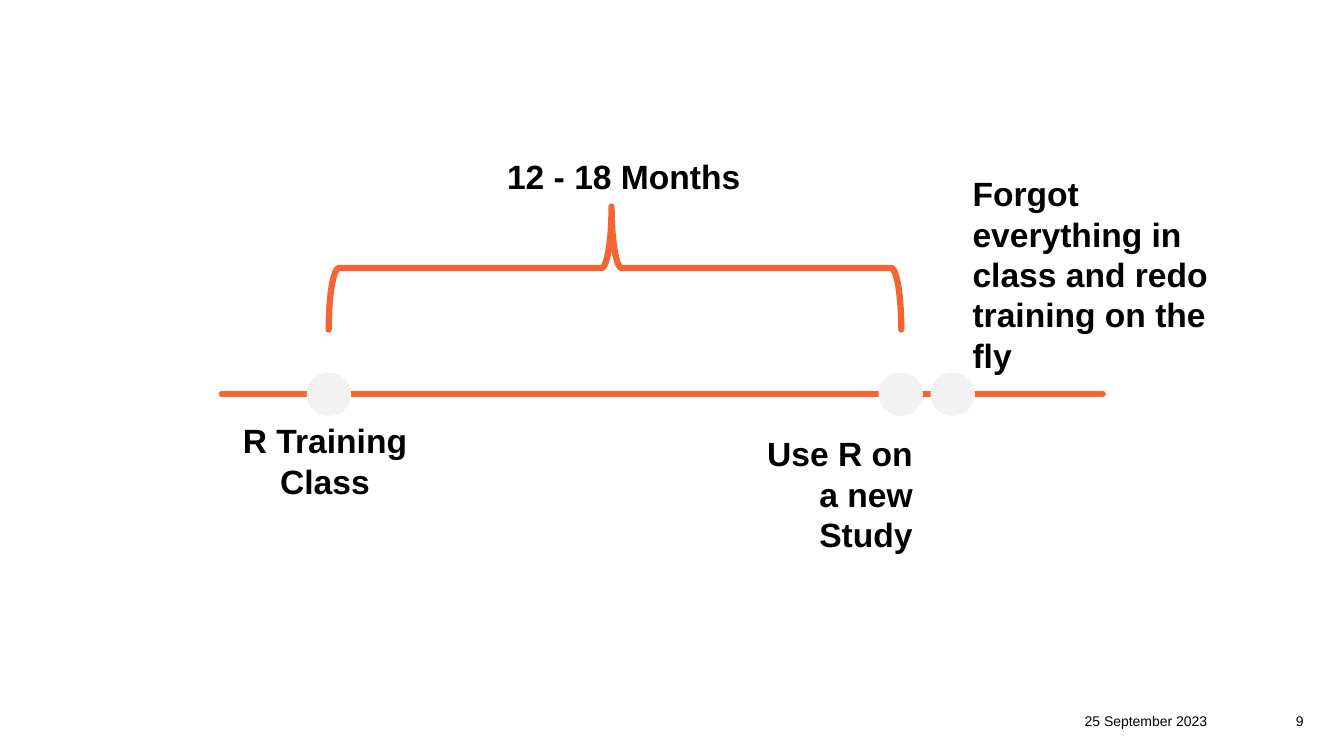
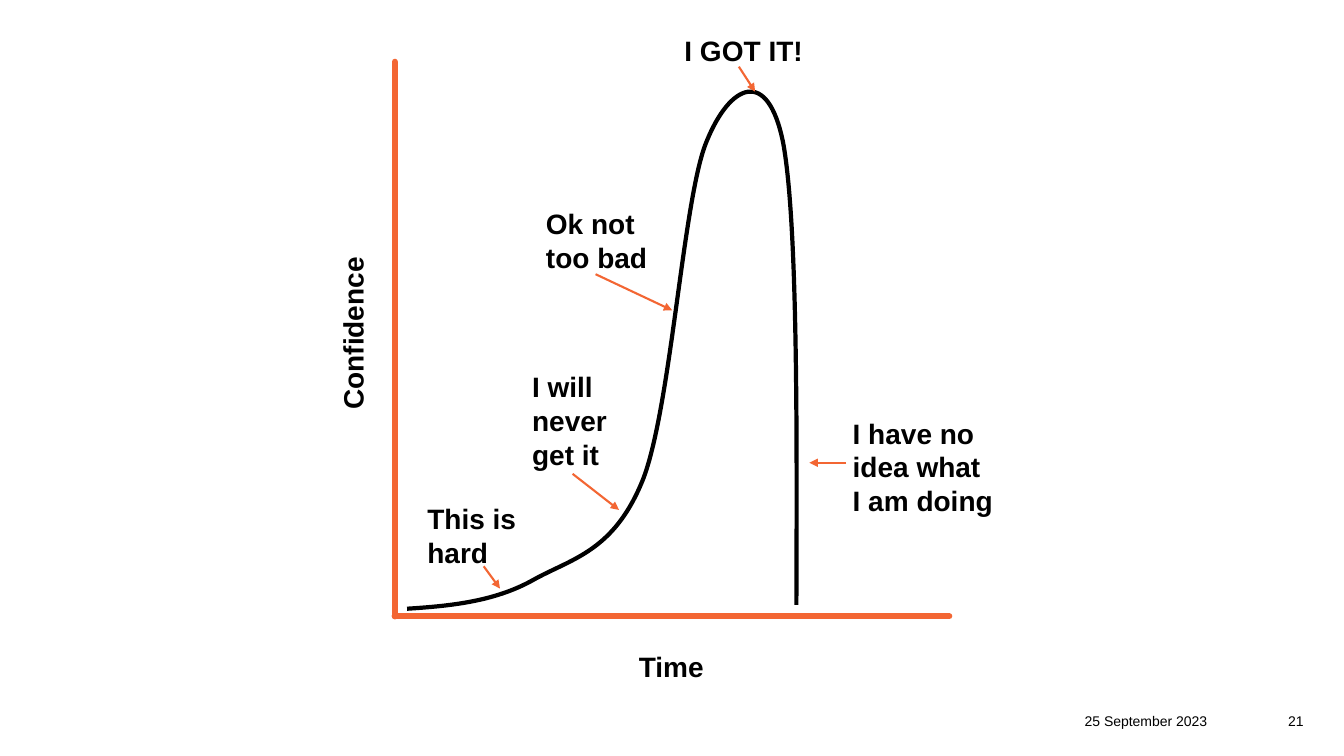
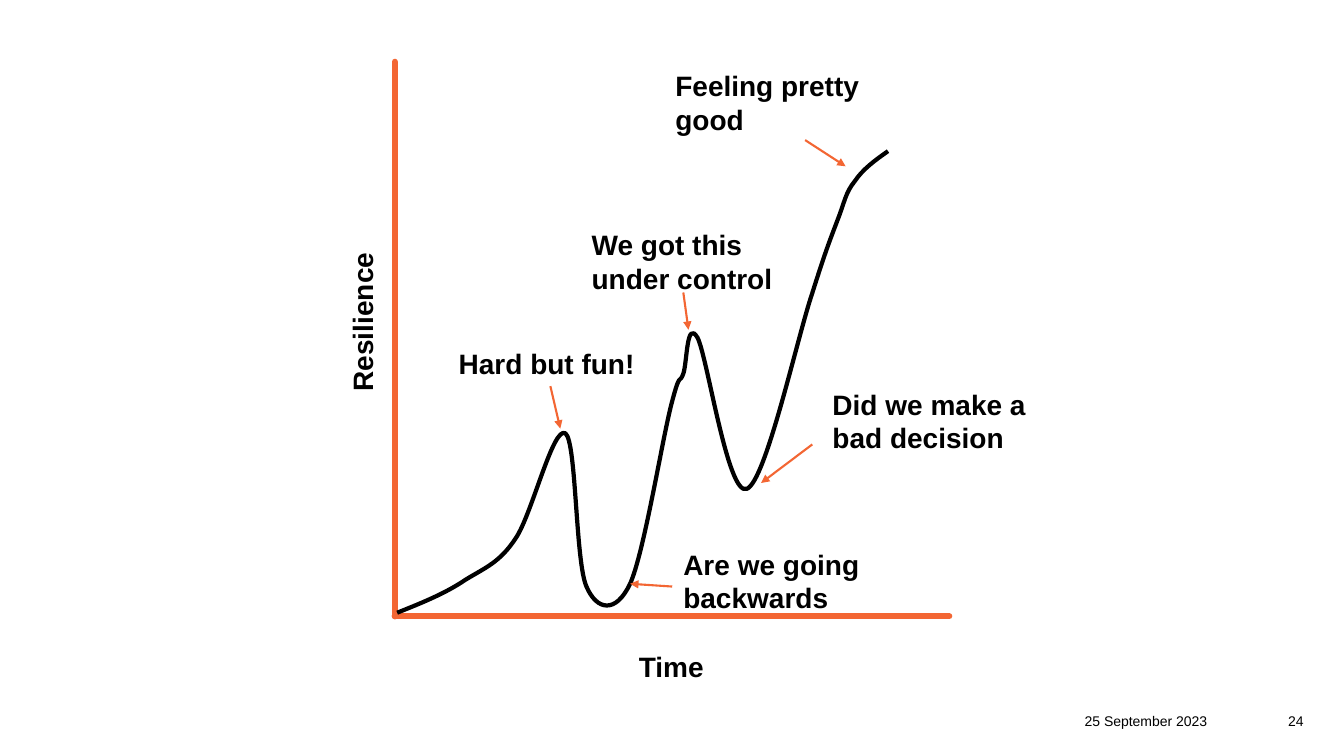
from lxml.etree import SubElement
from pptx import Presentation
from pptx.dml.color import RGBColor
from pptx.enum.shapes import MSO_CONNECTOR, MSO_SHAPE as SHAPE
from pptx.enum.text import MSO_ANCHOR as ANCHOR, PP_ALIGN as ALIGN
from pptx.oxml.ns import qn
from pptx.util import Cm, Pt

COLORS = {"accent": "F36633", "text": "000000", "dot": "F2F2F2"}
FONT = "Arial"
DATE = "25 September 2023"
THICK, THIN, CURVE = 4.5, 1.5, 3
LABEL_INSET = 0.51

# Timeline slide, lengths in cm
TIMELINE = {"x1": 5.59, "x2": 27.79, "y": 9.93}
DOT_LEFTS = (7.73, 22.14, 23.45)
DOT_TOP, DOT_W, DOT_H = 9.39, 1.12, 1.09
BRACE = (13.95, -0.46, 3.1, 14.43)
BRACE_CURL, BRACE_TIP = 8.3, 49.4  # percent
TIMELINE_LABELS = [
    ("R Training Class", (5.59, 10.08, 5.2, 3.71), ALIGN.CENTER),
    ("Use R on a new Study", (18.31, 10.41, 5.2, 3.71), ALIGN.RIGHT),
    ("12 - 18 Months", (12.27, 3.43, 7.42, 1.52), ALIGN.LEFT),
    ("Forgot everything in class and redo training on the fly",
     (24, 3.86, 7.9, 3.71), ALIGN.LEFT),
]

# Graph slides, lengths in cm
ORIGIN = (9.95, 15.53)
AXIS_LENGTH = 13.97
LABEL_H = 1.68
TIME_LABEL = ("Time", (15.59, 15.95, 3.84, LABEL_H))

# A curve is its start, then two control points and an end for each segment.
# A note is its text, left, top and width, then the start and end of its arrow.
GRAPHS = [
    {
        "number": 21,
        "y_label": ("Confidence", (6.31, 7.43, 5.13, LABEL_H)),
        "curve_box": (10.26, 2.31, 9.81, 13.03),
        "curve": [
            (10.26, 15.34),
            (11.35, 15.27), (12.45, 15.16), (13.41, 14.63),
            (14.4, 14.07), (15.47, 13.92), (16.21, 12.07),
            (16.92, 10.21), (17.22, 4.95), (17.81, 3.56),
            (18.39, 2.13), (19.35, 1.65), (19.74, 3.61),
            (20.09, 5.54), (20.09, 10.39), (20.07, 15.24),
        ],
        "notes": [
            ("This is hard", 10.26, 12.14, 3.84, (12.19, 14.27), (12.6, 14.83)),
            ("I will never get it", 12.9, 8.81, 3.84, (14.43, 11.94), (15.6, 12.85)),
            ("Ok not too bad", 13.25, 4.7, 3.84, (15.01, 6.91), (16.94, 7.82)),
            ("I GOT IT!", 16.74, 0.43, 4.6, (18.62, 1.68), (19.03, 2.31)),
            ("I have no idea what I am doing", 20.98, 9.98, 4.6,
             (21.32, 11.66), (20.4, 11.66)),
        ],
    },
    {
        "number": 24,
        "y_label": ("Resilience", (6.74, 7.16, 4.75, LABEL_H)),
        "curve_box": (10.01, 3.81, 12.37, 11.63),
        "curve": [
            (10.01, 15.44),
            (10.64, 15.19), (11.25, 14.94), (11.73, 14.61),
            (12.24, 14.3), (12.6, 14.17), (13, 13.56),
            (13.41, 12.95), (13.94, 10.72), (14.25, 10.92),
            (14.53, 11.13), (14.5, 14.15), (14.78, 14.78),
            (15.04, 15.39), (15.52, 15.47), (15.88, 14.71),
            (16.23, 13.94), (16.69, 11.07), (16.92, 10.19),
            (17.15, 9.3), (17.12, 9.7), (17.22, 9.42),
            (17.32, 9.14), (17.3, 8.03), (17.58, 8.51),
            (17.83, 8.99), (18.34, 12.52), (18.82, 12.32),
            (19.3, 12.14), (20.09, 8.51), (20.47, 7.39),
            (20.83, 6.25), (20.93, 6.02), (21.11, 5.54),
            (21.29, 5.08), (21.31, 4.85), (21.54, 4.57),
            (21.74, 4.27), (22.05, 4.04), (22.38, 3.81),
        ],
        "notes": [
            ("Are we going backwards", 16.71, 13.28, 5.95, (16.94, 14.78), (15.88, 14.71)),
            ("Hard but fun!", 11.05, 8.31, 5.95, (13.87, 9.73), (14.12, 10.8)),
            ("We got this under control", 14.4, 5.23, 5.95, (17.22, 7.37), (17.35, 8.31)),
            ("Did we make a bad decision", 20.47, 9.25, 5.95, (20.47, 11.2), (19.18, 12.17)),
            ("Feeling pretty good", 16.51, 1.22, 5.95, (20.29, 3.53), (21.31, 4.19)),
        ],
    },
]


def rgb(name):
    return RGBColor.from_string(COLORS[name])


def add_text(slide, text, box, size, bold=False, align=ALIGN.LEFT,
             anchor=ANCHOR.TOP, inset=0):
    sp = slide.shapes.add_textbox(*map(Cm, box))
    tf = sp.text_frame
    tf.word_wrap = True
    tf.vertical_anchor = anchor
    tf.margin_left = tf.margin_right = tf.margin_top = tf.margin_bottom = Cm(inset)
    tf.text = text
    p = tf.paragraphs[0]
    p.alignment = align
    font = p.runs[0].font
    font.name, font.size, font.bold = FONT, Pt(size), bold
    font.color.rgb = rgb("text")
    return sp


def add_label(slide, text, box, size=20, align=ALIGN.LEFT):
    sp = add_text(slide, text, box, size, True, align, inset=LABEL_INSET)
    sp.text_frame.paragraphs[0].space_after = Pt(3)
    return sp


def style_line(line, width, color="accent", round_cap=False):
    line.color.rgb = rgb(color)
    line.width = Pt(width)
    if round_cap:
        line._get_or_add_ln().set("cap", "rnd")


def add_line(slide, start, end, width=THICK, arrow=False):
    cn = slide.shapes.add_connector(MSO_CONNECTOR.STRAIGHT, *map(Cm, start + end))
    style_line(cn.line, width, round_cap=not arrow)
    if arrow:
        SubElement(cn.line._get_or_add_ln(), qn("a:tailEnd"), type="triangle")
    SubElement(cn._element.spPr, qn("a:effectLst"))


def add_curve(slide, points, box):
    """Draw a freeform, its outline turned into cubic segments within the box."""
    builder = slide.shapes.build_freeform(*map(Cm, points[0]))
    builder.add_line_segments([tuple(map(Cm, pt)) for pt in points[1:]], close=False)
    sp = builder.convert_to_shape()
    sp.left, sp.top, sp.width, sp.height = map(Cm, box)
    outline = sp._element.find(".//" + qn("a:path"))
    outline.set("w", str(sp.width))
    outline.set("h", str(sp.height))
    for child in list(outline):
        outline.remove(child)
    segments = [("a:moveTo", points[:1])]
    segments += [("a:cubicBezTo", points[i:i + 3]) for i in range(1, len(points), 3)]
    for tag, pts in segments:
        segment = SubElement(outline, qn(tag))
        for x, y in pts:
            SubElement(segment, qn("a:pt"), x=str(Cm(x) - sp.left), y=str(Cm(y) - sp.top))
    sp.shadow.inherit = False
    sp.fill.background()
    style_line(sp.line, CURVE, "text")


def new_slide(prs, number):
    slide = prs.slides.add_slide(prs.slide_layouts[6])
    for text, left, width in ((DATE, 22.7, 7.72), (str(number), 31.35, 1.5)):
        add_text(slide, text, (left, 17.63, width, 0.76), 10,
                 align=ALIGN.RIGHT, anchor=ANCHOR.BOTTOM)
    return slide


def timeline_slide(prs):
    slide = new_slide(prs, 9)
    y = TIMELINE["y"]
    add_line(slide, (TIMELINE["x1"], y), (TIMELINE["x2"], y))
    for text, box, align in TIMELINE_LABELS:
        add_label(slide, text, box, 24, align)
    for left in DOT_LEFTS:
        dot = slide.shapes.add_shape(SHAPE.OVAL, *map(Cm, (left, DOT_TOP, DOT_W, DOT_H)))
        dot.shadow.inherit = False
        dot.fill.solid()
        dot.fill.fore_color.rgb = rgb("dot")
        dot.line.fill.background()
    brace = slide.shapes.add_shape(SHAPE.RIGHT_BRACE, *map(Cm, BRACE))
    brace.rotation = 270
    brace.adjustments[0] = BRACE_CURL / 100
    brace.adjustments[1] = BRACE_TIP / 100
    brace.shadow.inherit = False
    brace.fill.background()
    style_line(brace.line, THICK, round_cap=True)


def graph_slide(prs, graph):
    slide = new_slide(prs, graph["number"])
    x, y = ORIGIN
    add_line(slide, ORIGIN, (x, y - AXIS_LENGTH))
    add_line(slide, ORIGIN, (x + AXIS_LENGTH, y))
    add_curve(slide, graph["curve"], graph["curve_box"])
    add_label(slide, *TIME_LABEL)
    add_label(slide, *graph["y_label"]).rotation = 270
    for text, left, top, width, start, end in graph["notes"]:
        add_label(slide, text, (left, top, width, LABEL_H))
        add_line(slide, start, end, THIN, arrow=True)


def main():
    prs = Presentation()
    prs.slide_width, prs.slide_height = Cm(33.87), Cm(19.05)
    timeline_slide(prs)
    for graph in GRAPHS:
        graph_slide(prs, graph)
    prs.save("out.pptx")


if __name__ == "__main__":
    main()
